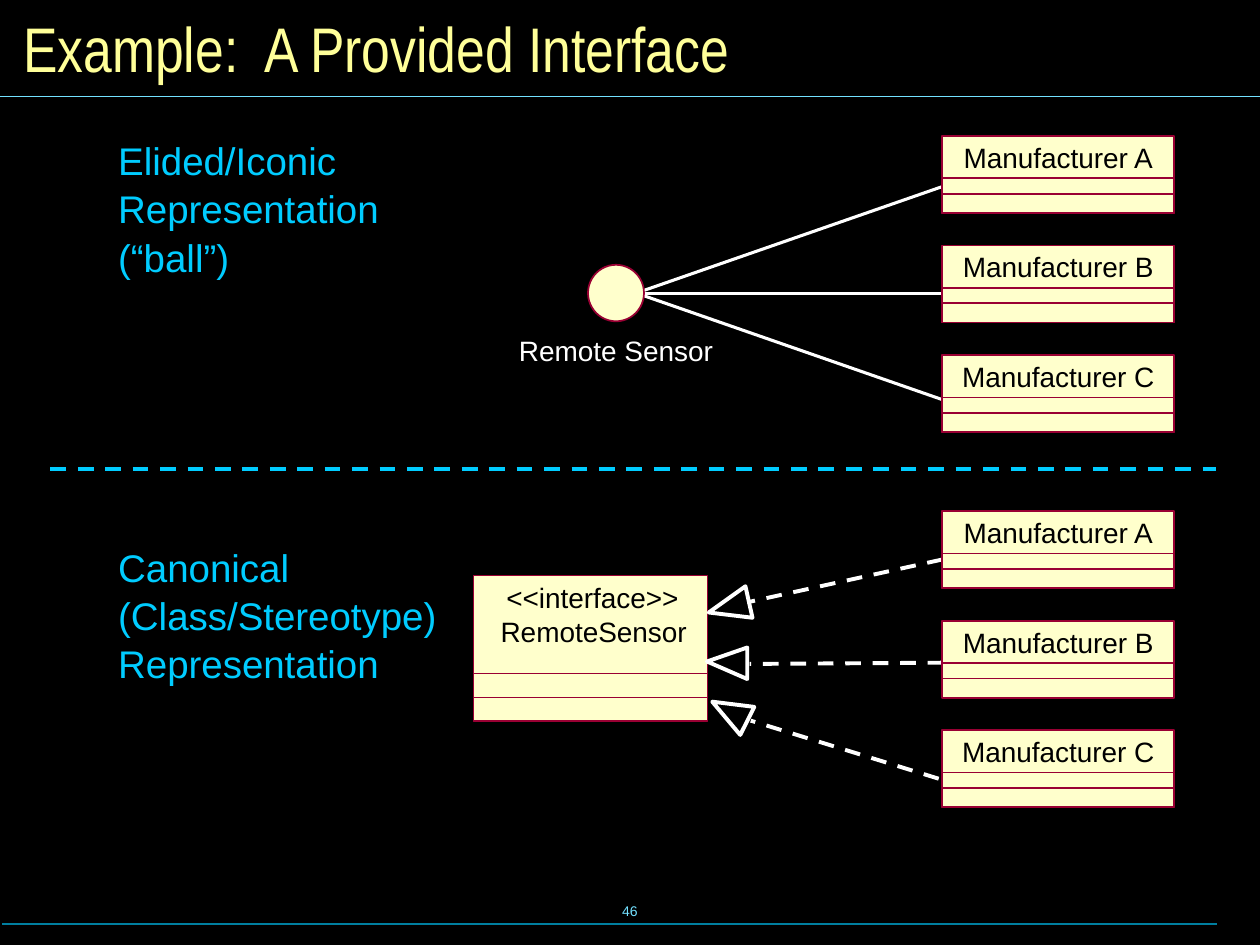
from pptx import Presentation
from pptx.dml.color import RGBColor
from pptx.enum.dml import MSO_LINE
from pptx.enum.shapes import MSO_CONNECTOR, MSO_SHAPE
from pptx.enum.text import MSO_ANCHOR, PP_ALIGN
from pptx.oxml.ns import qn
from pptx.util import Pt
from lxml import etree

BLACK = RGBColor(0x00, 0x00, 0x00)
WHITE = RGBColor(0xFF, 0xFF, 0xFF)
CREAM = RGBColor(0xFF, 0xFF, 0xCC)
YELLOW = RGBColor(0xFF, 0xFF, 0x99)
WINE = RGBColor(0x99, 0x00, 0x33)
CYAN = RGBColor(0x00, 0xCC, 0xFF)
SKY = RGBColor(0x73, 0xE1, 0xFF)
TEAL = RGBColor(0x00, 0x7E, 0x9F)

RECT, OVAL = MSO_SHAPE.RECTANGLE, MSO_SHAPE.OVAL
STRAIGHT = MSO_CONNECTOR.STRAIGHT
DASH = MSO_LINE.DASH
LEFT, MID = PP_ALIGN.LEFT, PP_ALIGN.CENTER
TOP, CENTER = MSO_ANCHOR.TOP, MSO_ANCHOR.MIDDLE


def write(frame, text, size=16, color=BLACK, font="Arial", align=LEFT,
          anchor=TOP, inset=(0, 0), wrap=True, space=None):
    """Put text in a frame and format it."""
    frame.word_wrap = wrap
    frame.vertical_anchor = anchor
    frame.margin_left = frame.margin_right = Pt(inset[0])
    frame.margin_top = frame.margin_bottom = Pt(inset[1])
    para = frame.paragraphs[0]
    para.text = text
    para.alignment = align
    para.line_spacing = space
    for run in para.runs:
        run.font.size = Pt(size)
        run.font.name = font
        run.font.color.rgb = color


class Board:
    """Style of the diagram and the slide it is drawn on."""

    fill, edge = CREAM, WINE

    def __init__(self, slide):
        self.slide = slide
        self.shapes = slide.shapes
        back = slide.background.fill
        back.solid()
        back.fore_color.rgb = BLACK

    def title(self, text, *box):
        title = self.shapes.title
        title.left, title.top, title.width, title.height = map(Pt, box)
        write(title.text_frame, text, size=36, color=YELLOW,
              font="Arial Narrow", anchor=CENTER, inset=(7.2, 3.6))

    def text(self, text, *box, into=None, **style):
        area = (into or self.shapes).add_textbox(*map(Pt, box))
        write(area.text_frame, text, **style)

    def shape(self, kind, *box, width=1, filled=True, into=None):
        item = (into or self.shapes).add_shape(kind, *map(Pt, box))
        item.shadow.inherit = False
        if filled:
            item.fill.solid()
            item.fill.fore_color.rgb = self.fill
        else:
            item.fill.background()
        item.line.color.rgb = self.edge
        item.line.width = Pt(width)

    def line(self, *ends, color=WHITE, width=1.75, dash=None):
        line = self.shapes.add_connector(STRAIGHT, *map(Pt, ends))
        line.line.color.rgb = color
        line.line.width = Pt(width)
        if dash:
            line.line.dash_style = dash
        etree.SubElement(line._element.spPr, qn("a:effectLst"))

    def head(self, tip, *rest):
        """Hollow triangle at the end of a dashed line."""
        pen = self.shapes.build_freeform(*tip, scale=Pt(1))
        pen.add_line_segments(rest, close=True)
        item = pen.convert_to_shape()
        item.shadow.inherit = False
        item.fill.background()
        item.line.color.rgb = WHITE
        item.line.width = Pt(2.25)

    def maker(self, name, left, top):
        """Class box with a name and two empty compartments."""
        group = self.shapes.add_group_shape().shapes
        wide, tall = 132.5, 44
        self.shape(RECT, left, top, wide, tall, into=group)
        for depth in (19.8, 11):
            self.shape(RECT, left, top + tall - depth, wide, depth,
                       filled=False, into=group)
        self.text(name, left + 7, top + 2.6, 118.5, 19.4, into=group, align=MID)


def main():
    deck = Presentation()
    deck.slide_width, deck.slide_height = Pt(720), Pt(540)
    board = Board(deck.slides.add_slide(deck.slide_layouts[5]))

    # Frame: title, rules and page number
    board.title("Example:  A Provided Interface", 6, 6, 708, 42)
    board.line(0, 55, 720, 55, color=SKY, width=0.75)
    board.line(1.2, 528, 695.5, 528, color=TEAL, width=0.75)
    board.text("46", 246, 502.5, 228, 36, size=8, color=SKY, align=MID,
               anchor=CENTER, inset=(7.2, 3.6))

    # Ball with its three links
    board.line(566, 167.6, 367, 167.6)
    board.line(538.6, 106.6, 365, 167)
    board.line(538, 228.2, 366.5, 168.5)
    board.shape(OVAL, 336, 151.3, 32, 32.3)
    board.text("Remote Sensor", 296.6, 190.8, 111, 19.4, color=WHITE,
               wrap=False)

    # Interface box
    board.shape(RECT, 270.6, 329, 133.7, 82.8, width=0)
    board.shape(RECT, 270.6, 384.5, 133.7, 27.5, width=0.25, filled=False)
    board.line(270.6, 398.2, 404.3, 398.2, color=WINE, width=0.25)
    board.text("<<interface>>", 289.4, 332, 98.6, 19.4, wrap=False)
    board.text("RemoteSensor", 286, 351.4, 106.6, 19.4, align=MID, wrap=False)

    # Dashed arrows to the interface
    for ends in ((538.6, 319.7, 427, 344.2),
                 (539, 378.7, 428.4, 379.4),
                 (536.4, 445, 429, 411.8)):
        board.line(*ends, width=2.25, dash=DASH)
    board.head((405.3, 349.5), (429.8, 352.8), (425.5, 334.8))
    board.head((403.9, 378), (427, 370.1), (427, 388.1))
    board.head((407, 401), (431.3, 403.9), (423.4, 419.8))

    # Makers, once in each half
    for start in (77.7, 292.1):
        for row, mark in enumerate("ABC"):
            board.maker(f"Manufacturer {mark}", 538.5, start + row * 62.6)

    # Divider and captions of the halves
    board.line(28.8, 267.8, 694.8, 267.8, color=CYAN, width=2.25, dash=DASH)
    for text, top, wide in (
            ("Elided/Iconic Representation\n(“ball”)", 72.7, 186),
            ("Canonical (Class/Stereotype) Representation", 305, 207.5)):
        board.text(text, 59, top, wide, 88, size=22, color=CYAN,
                   inset=(8.6, 4.3), space=1.05)

    deck.save("out.pptx")


if __name__ == "__main__":
    main()
